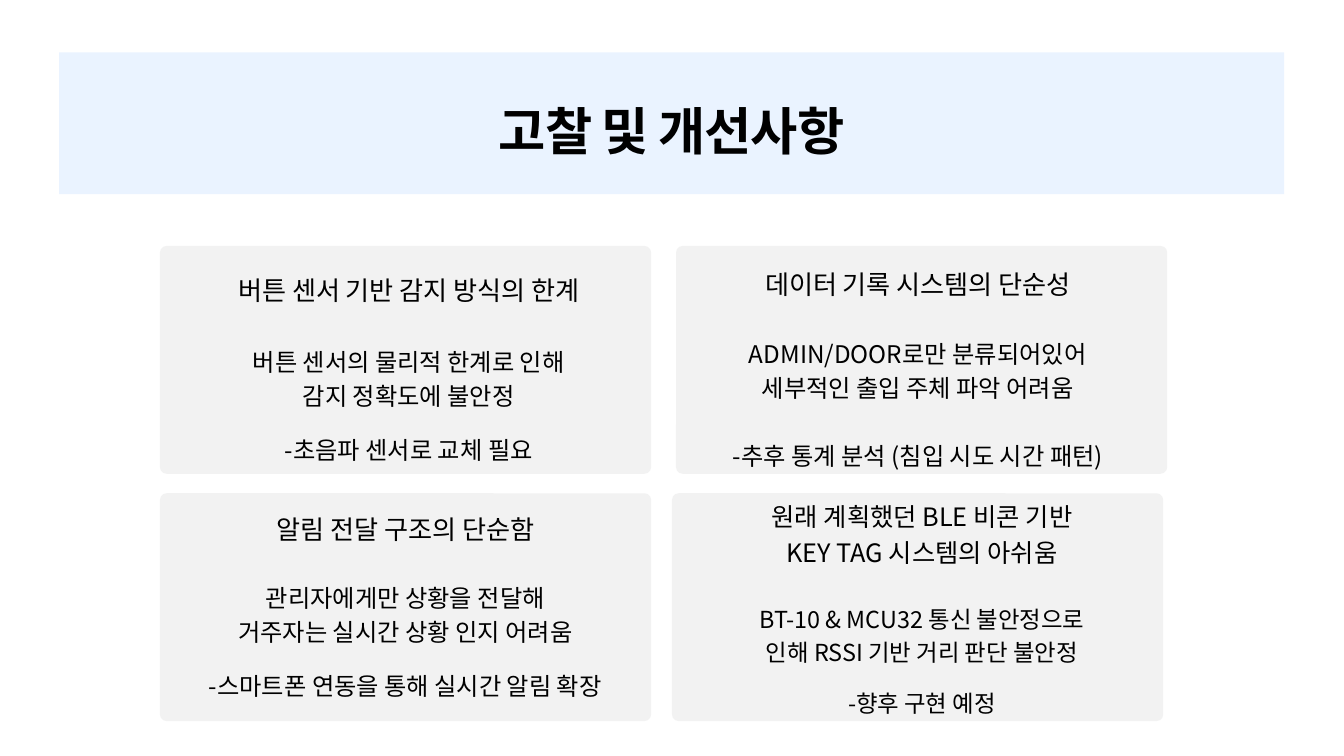
from dataclasses import dataclass

from lxml import etree
from pptx import Presentation
from pptx.dml.color import RGBColor
from pptx.enum.shapes import MSO_SHAPE
from pptx.enum.text import PP_ALIGN
from pptx.oxml.ns import qn
from pptx.slide import Slide
from pptx.util import Inches, Pt

RECTANGLE = MSO_SHAPE.RECTANGLE
ROUNDED = MSO_SHAPE.ROUNDED_RECTANGLE
CENTER = PP_ALIGN.CENTER
FONT = "Noto Sans CJK KR"
BLACK = RGBColor(0x00, 0x00, 0x00)
BANNER_BLUE = RGBColor(0xEA, 0xF3, 0xFF)
CARD_GRAY = RGBColor(0xF2, 0xF2, 0xF2)
CARD_WIDTH, CARD_HEIGHT, CARD_RADIUS = 7.31, 3.39, 0.1
LINE_RATIO = 1.4


@dataclass(frozen=True)
class Box:
    left: float
    top: float
    width: float
    height: float

    def lengths(self) -> tuple[Inches, ...]:
        return tuple(Inches(n) for n in (self.left, self.top, self.width, self.height))


@dataclass(frozen=True)
class Card:
    left: float
    top: float
    text_box: Box
    heading: str
    findings: tuple[str, ...]
    action: str
    findings_gap: float = 36.4
    action_gap: float = 21
    heading_size: float = 28
    body_size: float = 26


CARDS = (
    Card(2.38, 3.66, Box(2.63, 4.01, 6.91, 2.87), "버튼 센서 기반 감지 방식의 한계",
         ("버튼 센서의 물리적 한계로 인해", "감지 정확도에 불안정"),
         "-초음파 센서로 교체 필요", findings_gap=39.2),
    Card(10.06, 3.66, Box(10.26, 3.92, 6.8, 3.04), "데이터 기록 시스템의 단순성",
         ("ADMIN/DOOR로만 분류되어있어", "세부적인 출입 주체 파악 어려움"),
         "-추후 통계 분석 (침입 시도 시간 패턴)", action_gap=36.4),
    Card(2.38, 7.34, Box(2.63, 7.56, 6.81, 2.83), "알림 전달 구조의 단순함",
         ("관리자에게만 상황을 전달해", "거주자는 실시간 상황 인지 어려움"),
         "-스마트폰 연동을 통해 실시간 알림 확장"),
    Card(10, 7.34, Box(11.17, 7.39, 5.1, 3.74),
         "원래 계획했던 BLE 비콘 기반 KEY TAG 시스템의 아쉬움",
         ("BT-10 & MCU32 통신 불안정으로 인해 RSSI 기반 거리 판단 불안정",),
         "-향후 구현 예정", findings_gap=35.2, action_gap=20.3,
         heading_size=27.1, body_size=25.1),
)


def add_panel(slide: Slide, box: Box, color: RGBColor, radius: float = 0) -> None:
    panel = slide.shapes.add_shape(ROUNDED if radius else RECTANGLE, *box.lengths())
    if radius:
        panel.adjustments[0] = radius / min(box.width, box.height)
    panel.shadow.inherit = False
    panel.fill.solid()
    panel.fill.fore_color.rgb = color
    panel.line.fill.background()


def add_text_frame(slide: Slide, box: Box):
    frame = slide.shapes.add_textbox(*box.lengths()).text_frame
    frame.word_wrap = True
    frame.margin_left = frame.margin_top = frame.margin_right = frame.margin_bottom = 0
    return frame


def write(frame, text: str, *, size: float, gap: float = 0,
          bold: bool = False, tracking: float = 0) -> None:
    paragraph = frame.paragraphs[0] if not frame.text else frame.add_paragraph()
    paragraph.alignment = CENTER
    paragraph.line_spacing = Pt(round(size * LINE_RATIO, 1))
    if gap:
        paragraph.space_before = Pt(gap)
    run = paragraph.add_run()
    run.text = text
    run.font.size = Pt(size)
    run.font.bold = bold
    run.font.color.rgb = BLACK
    run.font.name = FONT
    properties = run._r.get_or_add_rPr()
    etree.SubElement(properties, qn("a:ea")).set("typeface", FONT)
    if tracking:
        properties.set("spc", str(round(tracking * 100)))


def add_card_text(slide: Slide, card: Card) -> None:
    frame = add_text_frame(slide, card.text_box)
    write(frame, card.heading, size=card.heading_size)
    for index, finding in enumerate(card.findings):
        write(frame, finding, size=card.body_size, gap=0 if index else card.findings_gap)
    write(frame, card.action, size=card.body_size, gap=card.action_gap)


def main() -> None:
    """Build the slide of reflections and improvements."""
    presentation = Presentation()
    presentation.slide_width = Inches(20)
    presentation.slide_height = Inches(11.25)
    slide = presentation.slides.add_slide(presentation.slide_layouts[6])
    add_panel(slide, Box(0.88, 0.78, 18.23, 2.11), BANNER_BLUE)
    title = add_text_frame(slide, Box(5.34, 1.33, 9.31, 1.01))
    write(title, "고찰 및 개선사항", size=55, bold=True, tracking=-1.1)
    for card in CARDS:
        add_panel(slide, Box(card.left, card.top, CARD_WIDTH, CARD_HEIGHT),
                  CARD_GRAY, CARD_RADIUS)
        add_card_text(slide, card)
    presentation.save("out.pptx")


if __name__ == "__main__":
    main()
